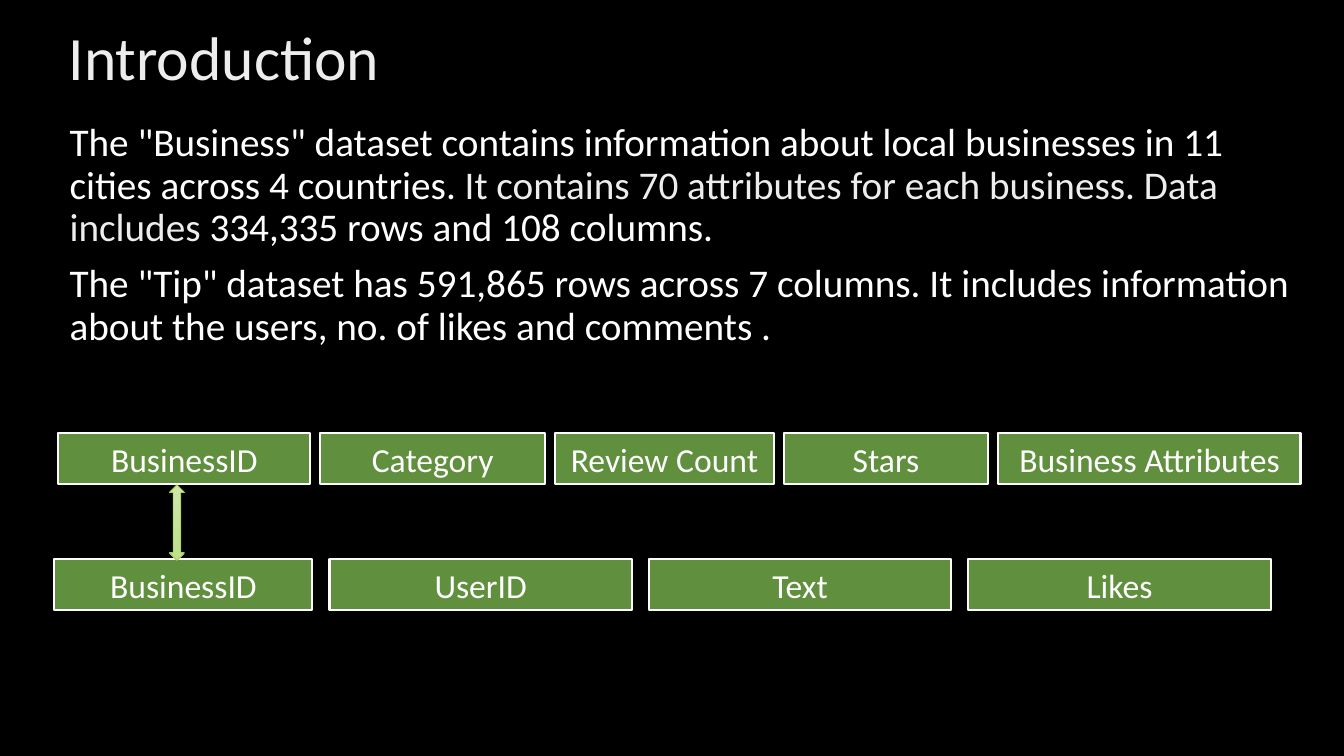
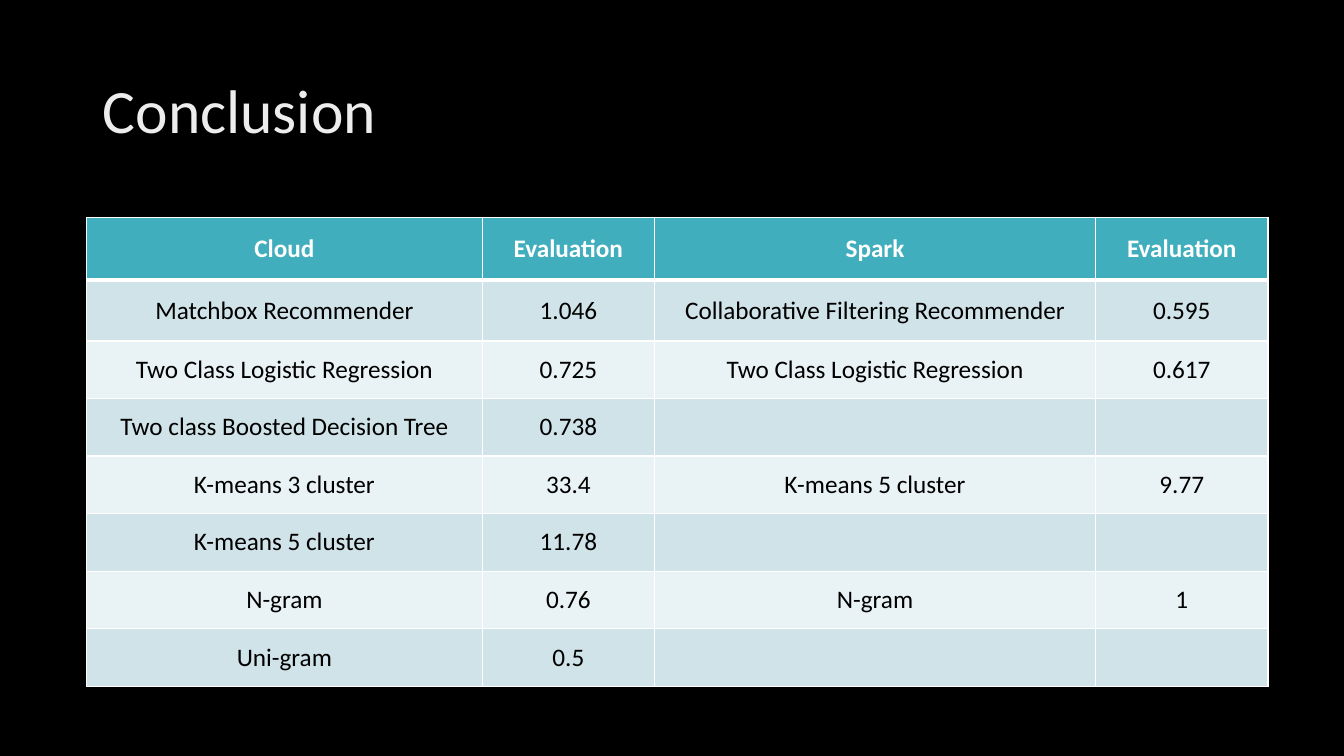
from collections import namedtuple

from lxml import etree
from pptx import Presentation
from pptx import util as u
from pptx.dml.color import RGBColor
from pptx.enum import shapes, text
from pptx.oxml import ns

# Shared style
FONT = "Calibri"
BLACK = RGBColor(0x00, 0x00, 0x00)
WHITE = RGBColor(0xFF, 0xFF, 0xFF)
SOFT_WHITE = RGBColor(0xED, 0xED, 0xED)
GREEN = RGBColor(0x60, 0x8F, 0x3D)
ARROW_TOP = RGBColor(0xCE, 0xE6, 0xAA)
ARROW_BOTTOM = RGBColor(0xBE, 0xE0, 0x8A)
ARROW_LINE = RGBColor(0xA2, 0xCF, 0x49)
TEAL = RGBColor(0x41, 0xAE, 0xBD)
BANDS = (RGBColor(0xCF, 0xE3, 0xE8), RGBColor(0xE9, 0xF2, 0xF4))

WIDTH, HEIGHT = u.Inches(13.33), u.Inches(7.5)
TITLE_AND_BODY, TITLE_ONLY = 1, 5
Box = namedtuple("Box", "left top width height")

# Content
INTRODUCTION = [
    [('The "Business" dataset contains information about local businesses in 11 '
      "cities across 4 countries.", WHITE),
     (" It contains 70 attributes for each business. Data includes ", SOFT_WHITE),
     ("334,335 rows and 108 columns.", WHITE)],
    [('The "Tip" dataset has 591,865 rows across 7 columns. It includes information '
      "about the users, no. of likes and comments .", WHITE)],
]
BUSINESS_FIELDS = [("BusinessID", 2.5), ("Category", 2.23), ("Review Count", 2.17),
                   ("Stars", 2.03), ("Business Attributes", 3)]
TIP_FIELDS = [("BusinessID", 2.56), ("UserID", 3), ("Text", 3), ("Likes", 3)]
RESULTS = [
    ("Cloud", "Evaluation", "Spark", "Evaluation"),
    ("Matchbox Recommender", "1.046", "Collaborative Filtering Recommender", "0.595"),
    ("Two Class Logistic Regression", "0.725", "Two Class Logistic Regression", "0.617"),
    ("Two class Boosted Decision Tree", "0.738", "", ""),
    ("K-means 3 cluster", "33.4", "K-means 5 cluster", "9.77"),
    ("K-means 5 cluster", "11.78", "", ""),
    ("N-gram", "0.76", "N-gram", "1"),
    ("Uni-gram", "0.5", "", ""),
]
COLUMN_SHARES = (3.92, 1.71, 4.37, 1.71)
ROW_SHARES = (0.62, 0.6, 0.57, 0.57, 0.57, 0.57, 0.57, 0.57)


def area(left, top, width, height):
    """Turn percentages of the slide into a box."""
    return Box(int(WIDTH * left / 100), int(HEIGHT * top / 100),
               int(WIDTH * width / 100), int(HEIGHT * height / 100))


def place(shape, box):
    shape.left, shape.top, shape.width, shape.height = box


def style_run(run, size, color, bold=False):
    run.font.name = FONT
    run.font.size = u.Pt(size)
    run.font.bold = bold
    run.font.color.rgb = color


def add_title(slide, box, words):
    title = slide.shapes.title
    place(title, box)
    frame = title.text_frame
    frame.text = words
    frame.auto_size = text.MSO_AUTO_SIZE.NONE
    frame.vertical_anchor = text.MSO_ANCHOR.MIDDLE
    paragraph = frame.paragraphs[0]
    paragraph.alignment = text.PP_ALIGN.LEFT
    paragraph.line_spacing = 0.9
    style_run(paragraph.runs[0], 44, SOFT_WHITE)


def add_body(slide, box, paragraphs):
    body = slide.placeholders[1]
    place(body, box)
    frame = body.text_frame
    frame.auto_size = text.MSO_AUTO_SIZE.NONE
    for index, pieces in enumerate(paragraphs):
        paragraph = frame.add_paragraph() if index else frame.paragraphs[0]
        paragraph.line_spacing = 0.9
        paragraph.space_before = u.Pt(10)
        for words, color in pieces:
            run = paragraph.add_run()
            run.text = words
            style_run(run, 28, color)
        # Plain paragraphs without bullets
        properties = paragraph._p.get_or_add_pPr()
        properties.set("marL", "0")
        properties.set("indent", "0")
        etree.SubElement(properties, ns.qn("a:buNone"))


def add_field_row(slide, box, fields, gap):
    """Fill the box with labelled fields, in proportion to their weights."""
    room = box.width - gap * (len(fields) - 1)
    total = sum(weight for _, weight in fields)
    left = box.left
    for label, weight in fields:
        width = int(room * weight / total)
        field = slide.shapes.add_shape(shapes.MSO_SHAPE.RECTANGLE,
                                       left, box.top, width, box.height)
        field.shadow.inherit = False
        field.fill.solid()
        field.fill.fore_color.rgb = GREEN
        field.line.color.rgb = WHITE
        field.line.width = u.Pt(1.5)
        field.text_frame.text = label
        paragraph = field.text_frame.paragraphs[0]
        paragraph.alignment = text.PP_ALIGN.CENTER
        style_run(paragraph.runs[0], 24, WHITE)
        left += width + gap


def add_join_arrow(slide, box):
    arrow = slide.shapes.add_shape(shapes.MSO_SHAPE.UP_DOWN_ARROW, *box)
    arrow.shadow.inherit = False
    arrow.fill.gradient()
    arrow.fill.gradient_angle = 270
    for stop, color in zip(arrow.fill.gradient_stops, (ARROW_TOP, ARROW_BOTTOM)):
        stop.color.rgb = color
    arrow.line.color.rgb = ARROW_LINE
    arrow.line.width = u.Pt(0.5)


def set_borders(cell, **points):
    properties = cell._tc.get_or_add_tcPr()
    for side in "LRTB":
        line = etree.SubElement(properties, ns.qn("a:ln" + side),
                                w=str(u.Pt(points.get(side, 1))))
        fill = etree.SubElement(line, ns.qn("a:solidFill"))
        etree.SubElement(fill, ns.qn("a:srgbClr"), val=str(WHITE))


def add_results_table(slide, box, rows):
    table = slide.shapes.add_table(len(rows), len(rows[0]), *box).table
    for column, share in zip(table.columns, COLUMN_SHARES):
        column.width = int(box.width * share / sum(COLUMN_SHARES))
    for row, share in zip(table.rows, ROW_SHARES):
        row.height = int(box.height * share / sum(ROW_SHARES))
    for row_index, values in enumerate(rows):
        header = row_index == 0
        # Thick rule between the header and the first result
        rule = {0: {"B": 3}, 1: {"T": 3}}.get(row_index, {})
        for column_index, value in enumerate(values):
            cell = table.cell(row_index, column_index)
            set_borders(cell, **rule)
            cell.fill.solid()
            cell.fill.fore_color.rgb = TEAL if header else BANDS[(row_index - 1) % 2]
            cell.vertical_anchor = text.MSO_ANCHOR.MIDDLE
            cell.margin_left = cell.margin_right = 0
            cell.margin_top = cell.margin_bottom = 0
            cell.text_frame.text = value
            paragraph = cell.text_frame.paragraphs[0]
            paragraph.alignment = text.PP_ALIGN.CENTER
            for run in paragraph.runs:
                style_run(run, 18, WHITE if header else BLACK, header)


def add_introduction(presentation):
    slide = presentation.slides.add_slide(presentation.slide_layouts[TITLE_AND_BODY])
    add_title(slide, area(4.35, 0.27, 86.27, 15.6), "Introduction")
    add_body(slide, area(4.43, 15.6, 94.07, 74.53), INTRODUCTION)
    add_field_row(slide, area(4.35, 57.33, 92.42, 6.67), BUSINESS_FIELDS, u.Inches(0.1))
    add_field_row(slide, area(4.05, 74, 90.5, 6.67), TIP_FIELDS, u.Inches(0.17))
    add_join_arrow(slide, area(12.6, 64.13, 1.13, 10))


def add_conclusion(presentation):
    slide = presentation.slides.add_slide(presentation.slide_layouts[TITLE_ONLY])
    add_title(slide, area(6.9, 5.33, 86.27, 19.33), "Conclusion")
    add_results_table(slide, area(6.45, 28.8, 87.9, 62), RESULTS)


def main():
    presentation = Presentation()
    presentation.slide_width, presentation.slide_height = WIDTH, HEIGHT
    background = presentation.slide_master.background.fill
    background.solid()
    background.fore_color.rgb = BLACK
    add_introduction(presentation)
    add_conclusion(presentation)
    presentation.save("out.pptx")


if __name__ == "__main__":
    main()
